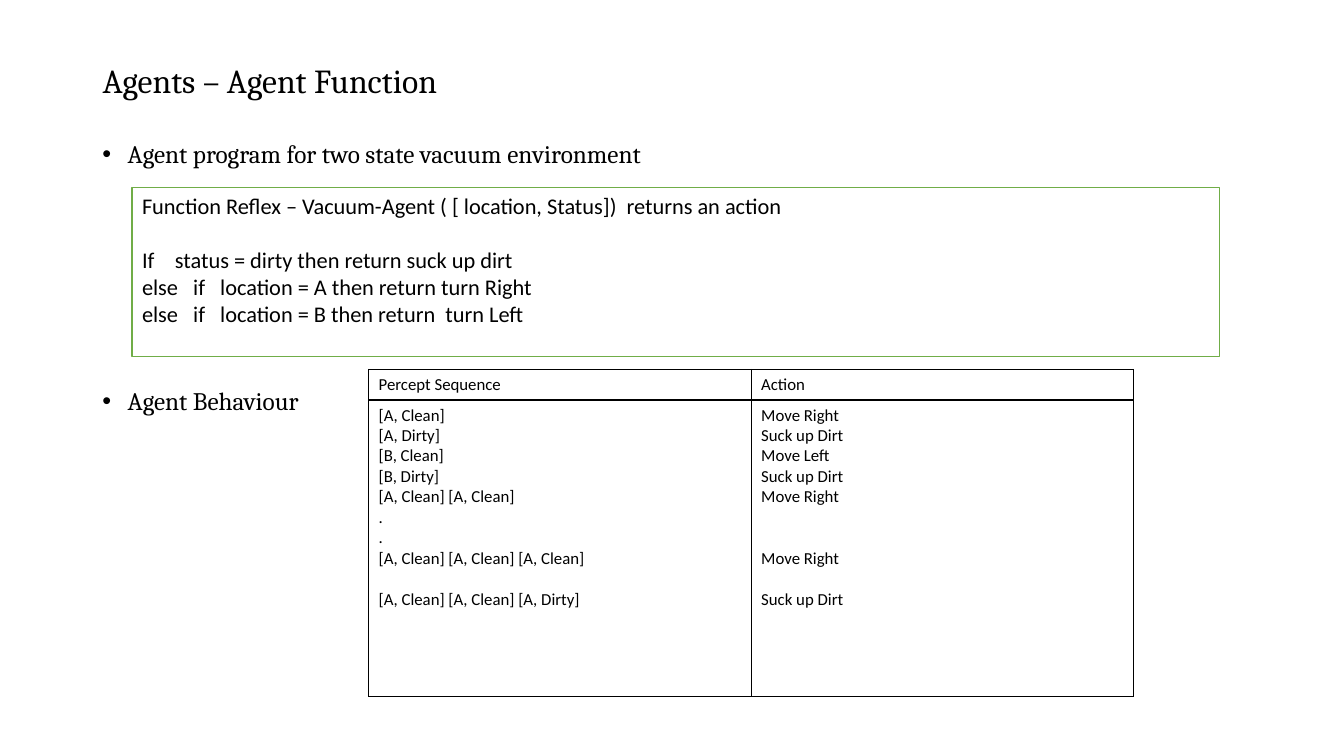
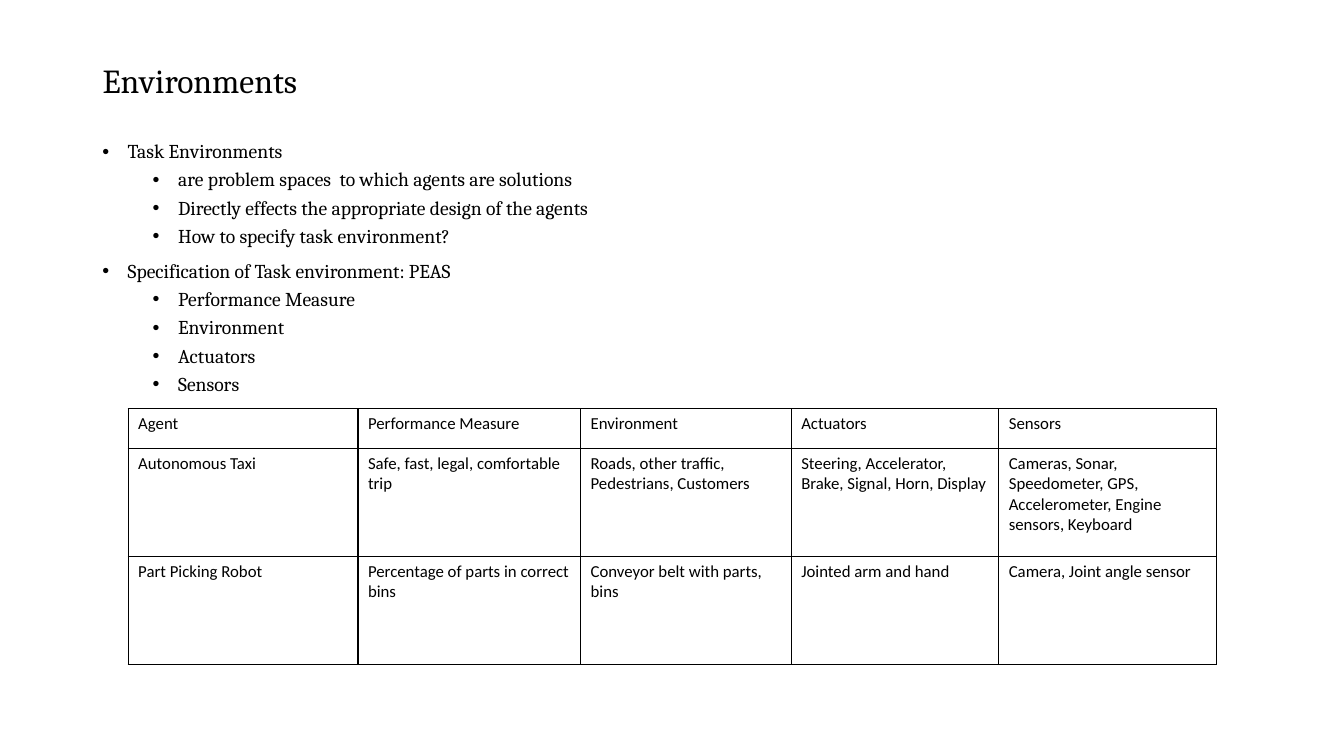
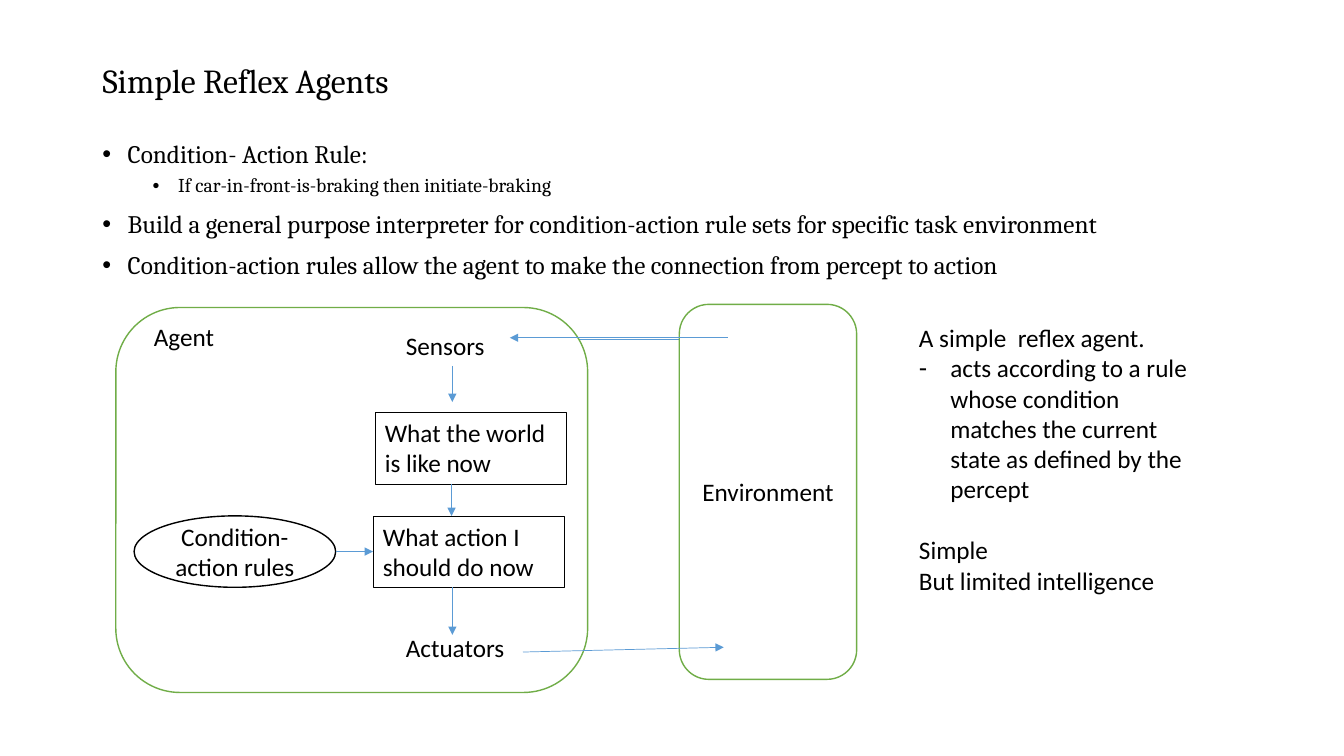
import pptx
import pptx.util
import pptx.dml.color
import pptx.enum.shapes
import pptx.enum.text
import pptx.oxml
import pptx.oxml.ns

Cm = pptx.util.Cm
Pt = pptx.util.Pt
SHAPE = pptx.enum.shapes.MSO_SHAPE
ALIGN = pptx.enum.text.PP_ALIGN
ANCHOR = pptx.enum.text.MSO_ANCHOR
NS = pptx.oxml.ns.nsdecls("a")

BLACK = "000000"
WHITE = "FFFFFF"
GREEN = "70AD47"
BLUE = "5B9BD5"
HEAD_FONT = "Cambria"
BODY_FONT = "Calibri"


def rgb(value):
    return pptx.dml.color.RGBColor.from_string(value)


def write(tf, text, size=18, font=BODY_FONT, align=ALIGN.LEFT, before=0,
          spacing=1, bullet=None, margin=0, hang=0, level=0, tabs=()):
    p = tf.paragraphs[-1]
    if p.runs:
        p = tf.add_paragraph()
    p.alignment = align
    p.level = level
    p.space_before = Pt(before)
    p.line_spacing = spacing
    pPr = p._p.get_or_add_pPr()
    if bullet:
        pPr.set("marL", str(Cm(margin)))
        pPr.set("indent", str(-Cm(hang)))
        pPr.append(pptx.oxml.parse_xml(f'<a:buFont {NS} typeface="Arial"/>'))
        pPr.append(pptx.oxml.parse_xml(f'<a:buChar {NS} char="{bullet}"/>'))
    if tabs:
        stops = "".join(f'<a:tab pos="{Cm(t)}" algn="l"/>' for t in tabs)
        pPr.append(pptx.oxml.parse_xml(f"<a:tabLst {NS}>{stops}</a:tabLst>"))
    r = p.add_run()
    r.text = text
    r.font.size = Pt(size)
    r.font.name = font
    r.font.color.rgb = rgb(BLACK)


prs = pptx.Presentation()
prs.slide_width = Cm(33.87)
prs.slide_height = Cm(19.05)

pages = [
    ("Agents – Agent Function", [
        (0, 18, 10, "Agent program for two state vacuum environment"),
        (0, 18, 157, "Agent Behaviour"),
    ]),
    ("Environments", [
        (0, 14, 10, "Task Environments"),
        (1, 14, 5, "are problem spaces  to which agents are solutions"),
        (1, 14, 5, "Directly effects the appropriate design of the agents"),
        (1, 14, 5, "How to specify task environment?"),
        (0, 14, 10, "Specification of Task environment: PEAS"),
        (1, 14, 5, "Performance Measure"),
        (1, 14, 5, "Environment"),
        (1, 14, 5, "Actuators"),
        (1, 14, 5, "Sensors"),
    ]),
    ("Simple Reflex Agents", [
        (0, 18, 10, "Condition- Action Rule:"),
        (1, 14, 5, "If car-in-front-is-braking then initiate-braking"),
        (0, 18, 10, "Build a general purpose interpreter for condition-action "
                    "rule sets for specific task environment"),
        (0, 18, 10, "Condition-action rules allow the agent to make the "
                    "connection from percept to action"),
    ]),
]

slides = []
for title, bullets in pages:
    s = prs.slides.add_slide(prs.slide_layouts[5])
    slides.append(s)
    sp = s.shapes.title
    sp.left, sp.top, sp.width, sp.height = Cm(2.33), Cm(1.02), Cm(29.21), Cm(2.11)
    tf = sp.text_frame
    tf.auto_size = pptx.enum.text.MSO_AUTO_SIZE.NONE
    tf.vertical_anchor = ANCHOR.MIDDLE
    write(tf, title, size=24, font=HEAD_FONT, spacing=0.9)

    tf = s.shapes.add_textbox(Cm(2.33), Cm(3.45), Cm(29.21), Cm(13.72)).text_frame
    tf.word_wrap = True
    for level, size, before, text in bullets:
        write(tf, text, size=size, font=HEAD_FONT, before=before, spacing=0.9,
              bullet="•", margin=0.64 + 1.27 * level, hang=0.64, level=level)

sp = slides[0].shapes.add_shape(SHAPE.RECTANGLE, Cm(3.33), Cm(4.72), Cm(27.41), Cm(4.27))
sp.shadow.inherit = False
sp.fill.solid()
sp.fill.fore_color.rgb = rgb(WHITE)
sp.line.color.rgb = rgb(GREEN)
sp.line.width = Pt(1)
tf = sp.text_frame
tf.vertical_anchor = ANCHOR.TOP
for text, before in [
    ("Function Reflex – Vacuum-Agent ( [ location, Status])  returns an action", 0),
    ("If\tstatus = dirty then return suck up dirt", 19.5),
    ("else\tif\tlocation = A then return turn Right", 0),
    ("else\tif\tlocation = B then return  turn Left", 0),
]:
    write(tf, text, size=16, before=before, tabs=(0.83, 1.29, 1.97))

LINE = 14.65
percepts = [
    ("[A, Clean]", 0), ("[A, Dirty]", 0), ("[B, Clean]", 0), ("[B, Dirty]", 0),
    ("[A, Clean] [A, Clean]", 0), (".", 0), (".", 0),
    ("[A, Clean] [A, Clean] [A, Clean]", 0),
    ("[A, Clean] [A, Clean] [A, Dirty]", LINE),
]
actions = [
    ("Move Right", 0), ("Suck up Dirt", 0), ("Move Left", 0), ("Suck up Dirt", 0),
    ("Move Right", 0), ("Move Right", 2 * LINE), ("Suck up Dirt", LINE),
]
peas = [
    ["Agent", "Performance Measure", "Environment", "Actuators", "Sensors"],
    ["Autonomous Taxi", "Safe, fast, legal, comfortable trip",
     "Roads, other traffic, Pedestrians, Customers",
     "Steering, Accelerator, Brake, Signal, Horn, Display",
     "Cameras, Sonar, Speedometer, GPS, Accelerometer, Engine sensors, Keyboard"],
    ["Part Picking Robot", "Percentage of parts in correct bins",
     "Conveyor belt with parts, bins", "Jointed arm and hand",
     "Camera, Joint angle sensor"],
]
tables = [
    (slides[0], 9.29, 9.31, [9.64, 9.64], [0.77, 7.48],
     [[[("Percept Sequence", 0)], [("Action", 0)]], [percepts, actions]]),
    (slides[1], 3.23, 10.3, [5.79, 5.61, 5.31, 5.23, 5.48], [1.0, 2.72, 2.72],
     [[[(text, 0)] for text in row] for row in peas]),
]
for s, left, top, widths, heights, rows in tables:
    table = s.shapes.add_table(len(heights), len(widths), Cm(left), Cm(top),
                               Cm(sum(widths)), Cm(sum(heights))).table
    table.first_row = False
    table.horz_banding = False
    for column, width in zip(table.columns, widths):
        column.width = Cm(width)
    for row, height in zip(table.rows, heights):
        row.height = Cm(height)
    for i, row in enumerate(rows):
        for j, lines in enumerate(row):
            cell = table.cell(i, j)
            tcPr = cell._tc.get_or_add_tcPr()
            for side in "LRTB":
                tcPr.append(pptx.oxml.parse_xml(
                    f'<a:ln{side} {NS} w="{Pt(1)}"><a:solidFill>'
                    f'<a:srgbClr val="{BLACK}"/></a:solidFill></a:ln{side}>'))
            cell.fill.solid()
            cell.fill.fore_color.rgb = rgb(WHITE)
            for text, before in lines:
                write(cell.text_frame, text, size=12, before=before)

s = slides[2]
boxes = [
    (SHAPE.ROUNDED_RECTANGLE, 2.92, 7.75, 11.89, 9.7, GREEN, 1, WHITE, ""),
    (SHAPE.ROUNDED_RECTANGLE, 17.12, 7.67, 4.47, 9.45, GREEN, 1, WHITE, "Environment"),
    (SHAPE.OVAL, 3.38, 13.0, 5.08, 1.8, BLACK, 1, WHITE, "Condition-action rules"),
    (SHAPE.RECTANGLE, 9.45, 10.39, 4.83, 1.8, BLACK, 0.25, None, "What the world is like now"),
    (SHAPE.RECTANGLE, 9.4, 13.0, 4.83, 1.8, BLACK, 0.25, None, "What action I should do now"),
]
for kind, x, y, w, h, line, weight, fill, text in boxes:
    sp = s.shapes.add_shape(kind, Cm(x), Cm(y), Cm(w), Cm(h))
    sp.shadow.inherit = False
    sp.line.color.rgb = rgb(line)
    sp.line.width = Pt(weight)
    if fill:
        sp.fill.solid()
        sp.fill.fore_color.rgb = rgb(fill)
    else:
        sp.fill.background()
    plain = kind == SHAPE.RECTANGLE
    sp.text_frame.vertical_anchor = ANCHOR.TOP if plain else ANCHOR.MIDDLE
    if text:
        write(sp.text_frame, text, align=ALIGN.LEFT if plain else ALIGN.CENTER)
action_box = sp

for text, x, y, w in [("Agent", 3.63, 7.98, 2.29), ("Sensors", 9.98, 8.2, 2.87),
                      ("Actuators", 9.98, 15.8, 3.2)]:
    write(s.shapes.add_textbox(Cm(x), Cm(y), Cm(w), Cm(1.02)).text_frame, text)

tf = s.shapes.add_textbox(Cm(22.91), Cm(8.0), Cm(7.6), Cm(8.41)).text_frame
tf.word_wrap = True
write(tf, "A simple  reflex agent.")
write(tf, "acts according to a rule whose condition matches the current state "
          "as defined by the percept", bullet="-", margin=0.79, hang=0.79)
write(tf, "Simple", before=22)
write(tf, "But limited intelligence")

arrows = []
for x1, y1, x2, y2 in [
    (17.91, 8.56, 12.24, 8.56),
    (18.34, 8.51, 12.85, 8.51),
    (11.4, 9.22, 11.4, 10.13),
    (11.38, 12.19, 11.38, 13.0),
    (11.4, 14.8, 11.4, 16.0),
    (13.18, 16.43, 18.24, 16.31),
    (8.46, 13.9, 9.4, 13.9),
]:
    c = s.shapes.add_connector(pptx.enum.shapes.MSO_CONNECTOR.STRAIGHT,
                               Cm(x1), Cm(y1), Cm(x2), Cm(y2))
    c.line.color.rgb = rgb(BLUE)
    c.line.width = Pt(0.5)
    c.line._get_or_add_ln().append(
        pptx.oxml.parse_xml(f'<a:tailEnd {NS} type="triangle"/>'))
    c._element.spPr.append(pptx.oxml.parse_xml(f"<a:effectLst {NS}/>"))
    arrows.append(c)
arrows[-1].end_connect(action_box, 1)
s.shapes._spTree.insert(2, arrows[0]._element)

prs.save("out.pptx")
